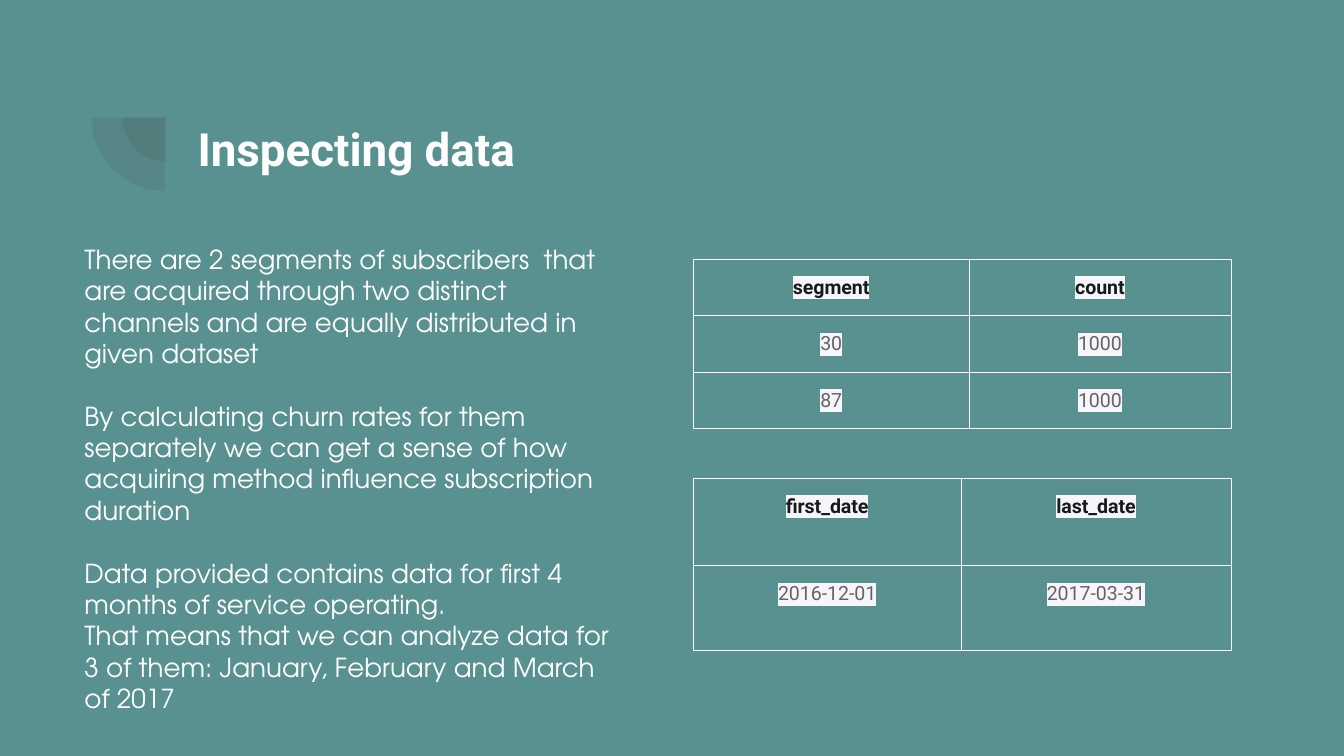
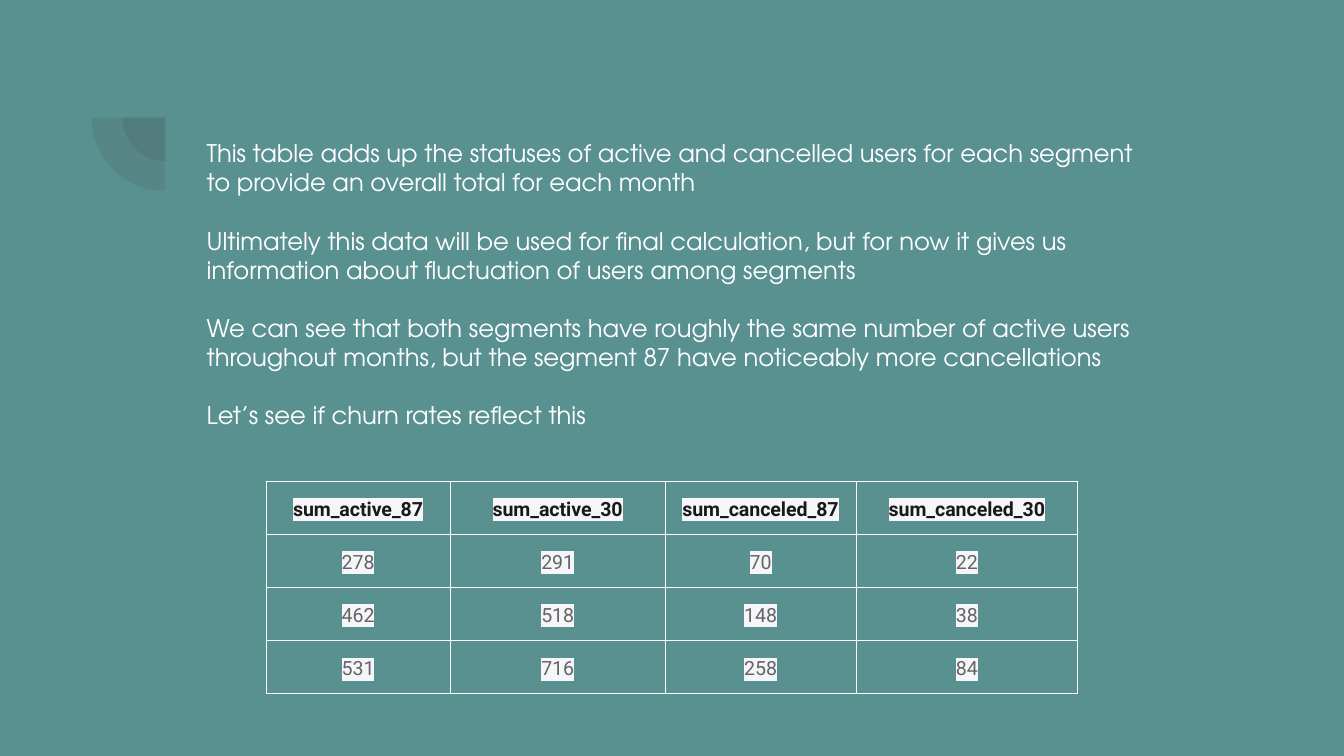
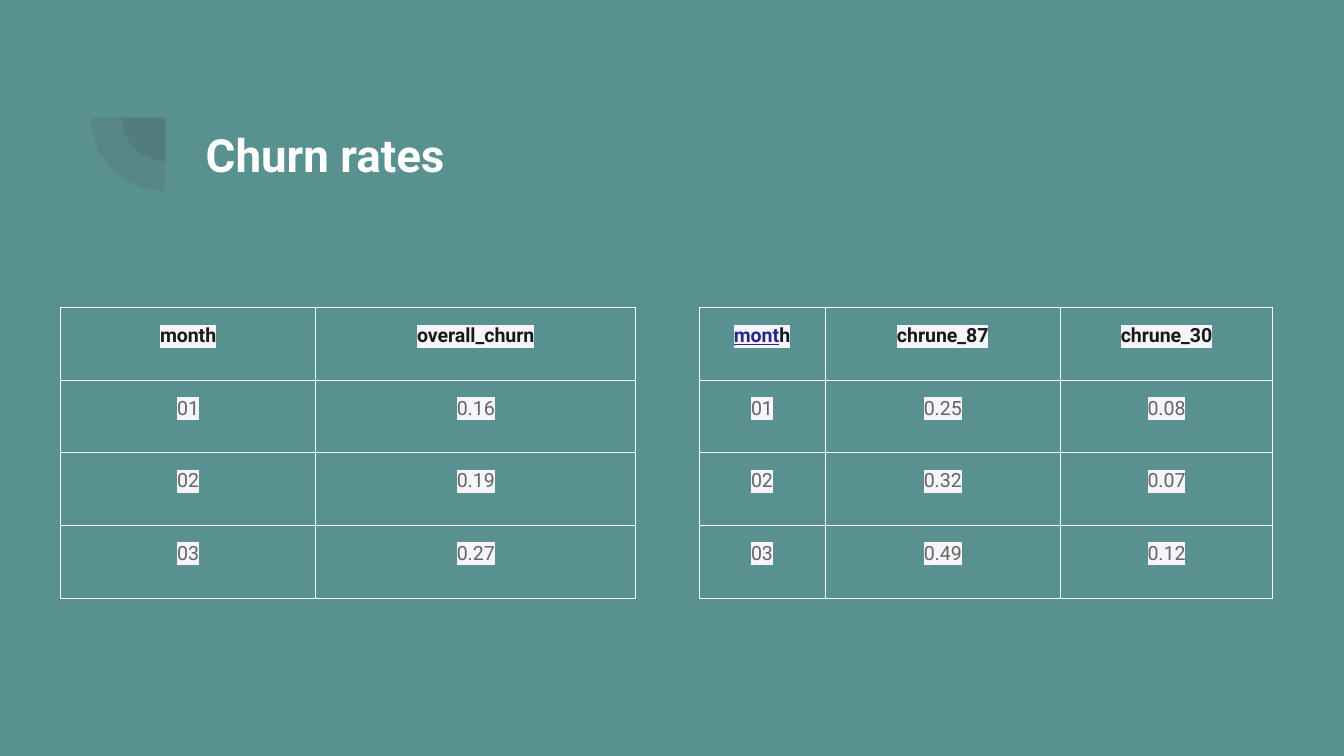
from dataclasses import dataclass

from pptx import Presentation
from pptx.dml.color import RGBColor
from pptx.enum.shapes import MSO_SHAPE as Preset
from pptx.enum.text import MSO_ANCHOR as Anchor, MSO_AUTO_SIZE as AutoSize, PP_ALIGN as Align
from pptx.oxml import parse_xml
from pptx.oxml.ns import nsdecls, qn
from pptx.util import Inches, Pt


@dataclass(frozen=True)
class Theme:
    background: str = "599191"
    white: str = "FFFFFF"
    ornament: str = "424242"
    header: str = "19191A"
    value: str = "646466"
    link: str = "27278B"
    highlight: str = "F6F5FA"
    heading_font: str = "Roboto"
    body_font: str = "TeX Gyre Adventor"
    title_size: float = 24.5
    cell_size: float = 10.5
    border_width: float = 0.48
    line_height: float = 1.2
    ornament_alpha: int = 13000


class SlideBuilder:
    TITLE_ONLY = 5
    BLANK = 6

    def __init__(self, theme):
        self.theme = theme
        self.page = None
        self.deck = Presentation()
        self.deck.slide_width = Inches(10)
        self.deck.slide_height = Inches(5.625)
        self.paint(self.deck.slide_master.background.fill, theme.background)

    def paint(self, fill, color):
        fill.solid()
        fill.fore_color.rgb = RGBColor.from_string(color)

    def style(self, span, font, size, color, bold=False, highlight=None):
        span.font.size = Pt(size)
        span.font.bold = bold
        self.paint(span.font.fill, color)
        if highlight:
            span._r.get_or_add_rPr().append(parse_xml(
                f'<a:highlight {nsdecls("a")}><a:srgbClr val="{highlight}"/></a:highlight>'))
        span.font.name = font

    def set_margins(self, target):
        for side in ("left", "top", "right", "bottom"):
            setattr(target, f"margin_{side}", Inches(0.1))

    def set_frame(self, frame):
        self.set_margins(frame)
        frame.word_wrap = True
        frame.auto_size = AutoSize.NONE
        frame.vertical_anchor = Anchor.TOP

    def add_page(self, layout):
        self.page = self.deck.slides.add_slide(self.deck.slide_layouts[layout])
        for placeholder in list(self.page.placeholders):
            if placeholder != self.page.shapes.title:
                placeholder.element.getparent().remove(placeholder.element)
        for left, top, size in ((0.91, 0.55, 0.65), (0.68, 0.33, 1.09)):
            self.add_quarter(left, top, size)

    def add_quarter(self, left, top, size):
        quarter = self.page.shapes.add_shape(
            Preset.PIE, Inches(left), Inches(top), Inches(size), Inches(size))
        quarter.rotation = 270
        quarter.adjustments[0] = 108
        quarter.adjustments[1] = 162
        quarter.shadow.inherit = False
        quarter.line.fill.background()
        self.paint(quarter.fill, self.theme.ornament)
        color = quarter.fill._xPr.find(qn("a:solidFill"))[0]
        color.append(parse_xml(
            f'<a:alpha {nsdecls("a")} val="{self.theme.ornament_alpha}"/>'))

    def add_title(self, text, left, top, width, height):
        title = self.page.shapes.title
        title.left, title.top = Inches(left), Inches(top)
        title.width, title.height = Inches(width), Inches(height)
        title.text_frame.text = text
        self.set_frame(title.text_frame)
        para = title.text_frame.paragraphs[0]
        para.alignment = Align.LEFT
        para.line_spacing = self.theme.line_height
        self.style(para.runs[0], self.theme.heading_font, self.theme.title_size,
                   self.theme.white, bold=True)

    def add_body(self, blocks, left, top, width, height, size):
        box = self.page.shapes.add_textbox(
            Inches(left), Inches(top), Inches(width), Inches(height))
        frame = box.text_frame
        frame.text = "\n".join(line for block in blocks for line in block)
        self.set_frame(frame)
        block_starts = [block[0] for block in blocks[1:]]
        for para in frame.paragraphs:
            if para.text in block_starts:
                para.space_before = Pt(size * self.theme.line_height)
            self.style(para.runs[0], self.theme.body_font, size, self.theme.white)

    def add_table(self, rows, left, top, widths, heights):
        frame = self.page.shapes.add_table(
            len(rows), len(widths), Inches(left), Inches(top),
            Inches(sum(widths)), Inches(sum(heights)))
        table = frame.table
        table.first_row = table.horz_banding = False
        for column, width in zip(table.columns, widths):
            column.width = Inches(width)
        for row, height in zip(table.rows, heights):
            row.height = Inches(height)
        for row_index, values in enumerate(rows):
            for column_index, value in enumerate(values):
                self.fill_cell(table.cell(row_index, column_index), value, row_index == 0)
        return table

    def fill_cell(self, cell, text, is_header):
        theme = self.theme
        self.set_margins(cell)
        cell.vertical_anchor = Anchor.TOP
        para = cell.text_frame.paragraphs[0]
        para.alignment = Align.CENTER
        para.line_spacing = 1.15
        self.add_cell_span(para, text, theme.header if is_header else theme.value, is_header)
        for side in "LRTB":
            cell._tc.get_or_add_tcPr().append(parse_xml(
                f'<a:ln{side} {nsdecls("a")} w="{int(Pt(theme.border_width))}"><a:solidFill>'
                f'<a:srgbClr val="{theme.white}"/></a:solidFill></a:ln{side}>'))
        cell.fill.background()

    def add_cell_span(self, para, text, color, bold):
        span = para.add_run()
        span.text = text
        self.style(span, self.theme.heading_font, self.theme.cell_size, color,
                   bold, self.theme.highlight)
        return span

    def mark_start(self, cell, count):
        para = cell.text_frame.paragraphs[0]
        text = para.text
        para.clear()
        marked = self.add_cell_span(para, text[:count], self.theme.link, True)
        marked.font.underline = True
        self.add_cell_span(para, text[count:], self.theme.header, True)


def add_inspection(slides):
    slides.add_page(slides.TITLE_ONLY)
    slides.add_body([
        ["There are 2 segments of subscribers  that are acquired through two distinct "
         "channels and are equally distributed in given dataset"],
        ["By calculating churn rates for them separately we can get a sense of how "
         "acquiring method influence subscription duration"],
        ["Data provided contains data for first 4 months of service operating.",
         "That means that we can analyze data for 3 of them: January, February and "
         "March of 2017"],
    ], 0.53, 1.71, 4.2, 3.36, size=14)
    slides.add_title("Inspecting data", 1.37, 0.72, 3.54, 0.81)
    slides.add_table([("first_date", "last_date"), ("2016-12-01", "2017-03-31")],
                     5.16, 3.56, (1.99, 2.01), (0.65, 0.63))
    slides.add_table([("segment", "count"), ("30", "1000"), ("87", "1000")],
                     5.16, 1.93, (2.05, 1.95), [0.42] * 3)


def add_status_totals(slides):
    slides.add_page(slides.BLANK)
    slides.add_table([
        ("sum_active_87", "sum_active_30", "sum_canceled_87", "sum_canceled_30"),
        ("278", "291", "70", "22"),
        ("462", "518", "148", "38"),
        ("531", "716", "258", "84"),
    ], 1.98, 3.58, (1.37, 1.6, 1.42, 1.65), [0.39] * 4)
    slides.add_body([
        ["This table adds up the statuses of active and cancelled users for each segment "
         "to provide an overall total for each month"],
        ["Ultimately this data will be used for final calculation, but for now it gives us "
         "information about fluctuation of users among segments"],
        ["We can see that both segments have roughly the same number of active users "
         "throughout months, but the segment 87 have noticeably more cancellations"],
        ["Let’s see if churn rates reflect this"],
    ], 1.44, 0.93, 7.13, 2.39, size=13)


def add_churn_rates(slides):
    slides.add_page(slides.TITLE_ONLY)
    slides.add_title("Churn rates", 1.43, 0.76, 7.54, 0.86)
    heights = [0.54] * 4
    by_segment = slides.add_table([
        ("month", "chrune_87", "chrune_30"),
        ("01", "0.25", "0.08"),
        ("02", "0.32", "0.07"),
        ("03", "0.49", "0.12"),
    ], 5.2, 2.29, (0.94, 1.75, 1.58), heights)
    slides.mark_start(by_segment.cell(0, 0), len("mont"))
    slides.add_table([
        ("month", "overall_churn"),
        ("01", "0.16"),
        ("02", "0.19"),
        ("03", "0.27"),
    ], 0.45, 2.29, (1.9, 2.38), heights)


def main():
    slides = SlideBuilder(Theme())
    add_inspection(slides)
    add_status_totals(slides)
    add_churn_rates(slides)
    slides.deck.save("out.pptx")


if __name__ == "__main__":
    main()
